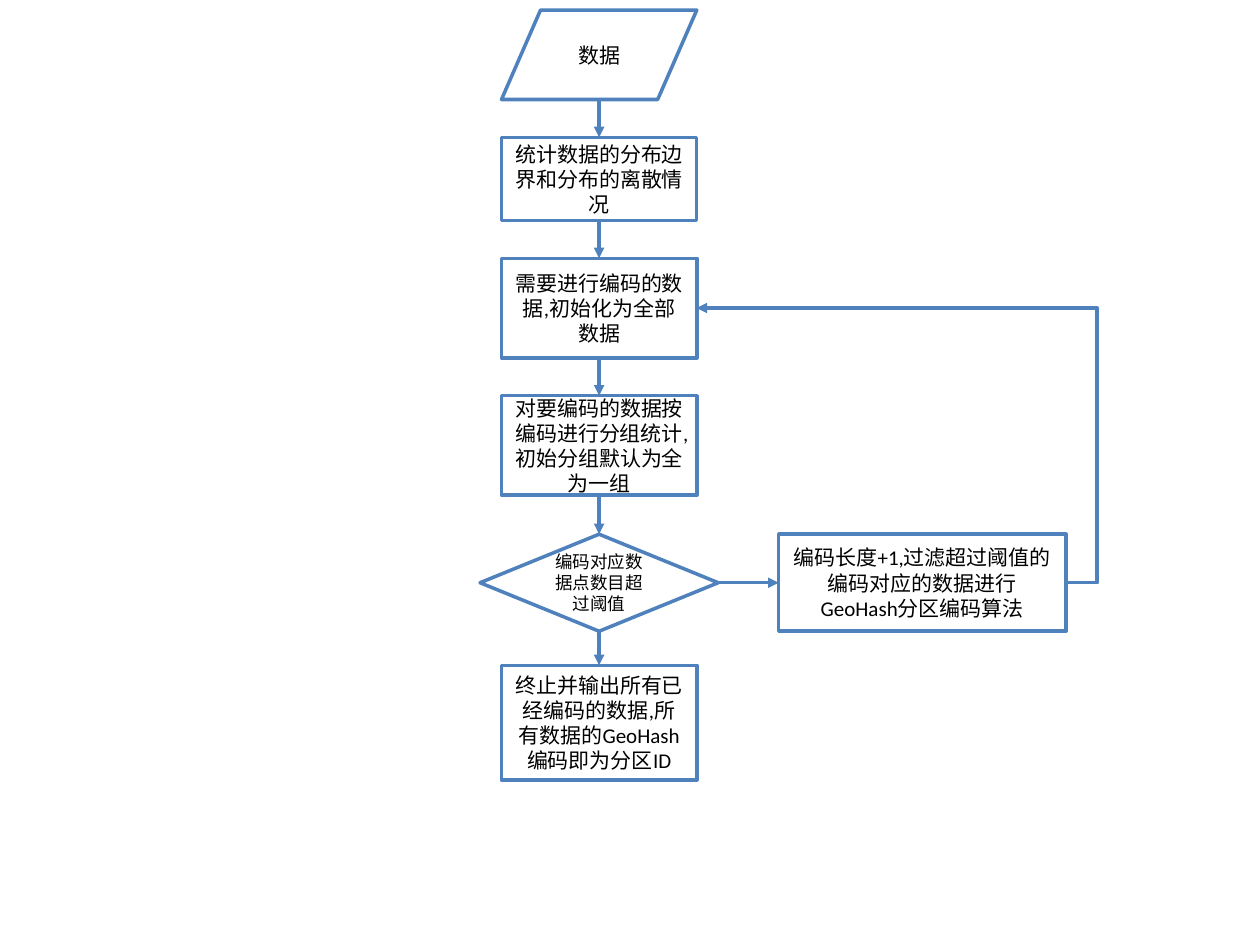
from lxml.etree import SubElement
from pptx import Presentation
from pptx.dml.color import RGBColor
from pptx.enum.shapes import MSO_CONNECTOR, MSO_SHAPE
from pptx.enum.text import MSO_ANCHOR, PP_ALIGN
from pptx.oxml.ns import qn
from pptx.util import Inches, Pt

BLUE, WHITE, BLACK = "4F81BD", "FFFFFF", "000000"
PROCESS = MSO_SHAPE.FLOWCHART_PROCESS


def color(hex_value):
    return RGBColor.from_string(hex_value)


def add_step(slide, kind, box, text, size=12):
    """Add a flowchart step in box = (left, top, width, height) and return it."""
    step = slide.shapes.add_shape(kind, *(Inches(v) for v in box))
    step.shadow.inherit = False
    step.fill.solid()
    step.fill.fore_color.rgb = color(WHITE)
    step.line.color.rgb = color(BLUE)
    step.line.width = Pt(2)
    frame = step.text_frame
    frame.word_wrap = True
    frame.vertical_anchor = MSO_ANCHOR.MIDDLE
    frame.text = text
    paragraph = frame.paragraphs[0]
    paragraph.alignment = PP_ALIGN.CENTER
    font = paragraph.runs[0].font
    font.name, font.size = "Calibri", Pt(size)
    font.color.rgb = color(BLACK)
    return step


def side(step, x, y):
    """Point on a step, as fractions of its width and height."""
    return step.left + int(step.width * x), step.top + int(step.height * y)


def add_arrow(slide, start, end, kind=MSO_CONNECTOR.STRAIGHT):
    arrow = slide.shapes.add_connector(kind, *start, *end)
    arrow.line.color.rgb = color(BLUE)
    arrow.line.width = Pt(2)
    line = arrow.line._get_or_add_ln()
    SubElement(line, qn("a:tailEnd"), type="triangle")
    SubElement(arrow._element.spPr, qn("a:effectLst"))
    return arrow


def add_main_flow(slide, left, top, width):
    """Stack the steps around one axis, joined by downward arrows."""
    # kind, offset from top, width, height, text, size
    rows = [
        (MSO_SHAPE.FLOWCHART_DATA, 0, width, 0.71, "数据", 12),
        (MSO_SHAPE.RECTANGLE, 1.01, width, 0.66, "统计数据的分布边界和分布的离散情况", 12),
        (PROCESS, 1.97, width, 0.79, "需要进行编码的数据,初始化为全部数据", 12),
        (PROCESS, 3.06, width, 0.79,
         "对要编码的数据按编码进行分组统计,初始分组默认为全为一组", 12),
        (MSO_SHAPE.FLOWCHART_DECISION, 4.16, 1.89, 0.77,
         "编码对应数据点数目超过阈值", 10),
        (PROCESS, 5.2, width, 0.91,
         "终止并输出所有已经编码的数据,所有数据的GeoHash编码即为分区ID", 12),
    ]
    steps = [
        add_step(slide, kind,
                 (left + (width - step_width) / 2, top + offset, step_width, height),
                 text, size)
        for kind, offset, step_width, height, text, size in rows
    ]
    for upper, lower in zip(steps, steps[1:]):
        add_arrow(slide, side(upper, 0.5, 1), side(lower, 0.5, 0))
    return steps


def add_loop(slide, box, decision, target, overhang):
    """Add the refining step and the arrow that returns to the target step."""
    refine = add_step(slide, PROCESS, box,
                      "编码长度+1,过滤超过阈值的编码对应的数据进行GeoHash分区编码算法")
    add_arrow(slide, side(decision, 1, 0.5), side(refine, 0, 0.5))
    start, end = side(refine, 1, 0.5), side(target, 1, 0.5)
    back = add_arrow(slide, start, end, MSO_CONNECTOR.ELBOW)
    # Push the bend out to the right of the refining step
    bend = -round(Inches(overhang) / (start[0] - end[0]) * 100000)
    guides = back._element.spPr.find(qn("a:prstGeom")).get_or_add_avLst()
    SubElement(guides, qn("a:gd"), name="adj1", fmla=f"val {bend}")


presentation = Presentation()
presentation.slide_width, presentation.slide_height = Inches(10), Inches(7.5)
flowchart = presentation.slides.add_slide(presentation.slide_layouts[6])

main_steps = add_main_flow(flowchart, 3.98, 0.08, 1.55)
add_loop(flowchart, (6.18, 4.24, 2.28, 0.77),
         decision=main_steps[4], target=main_steps[2], overhang=0.25)

presentation.save("out.pptx")
